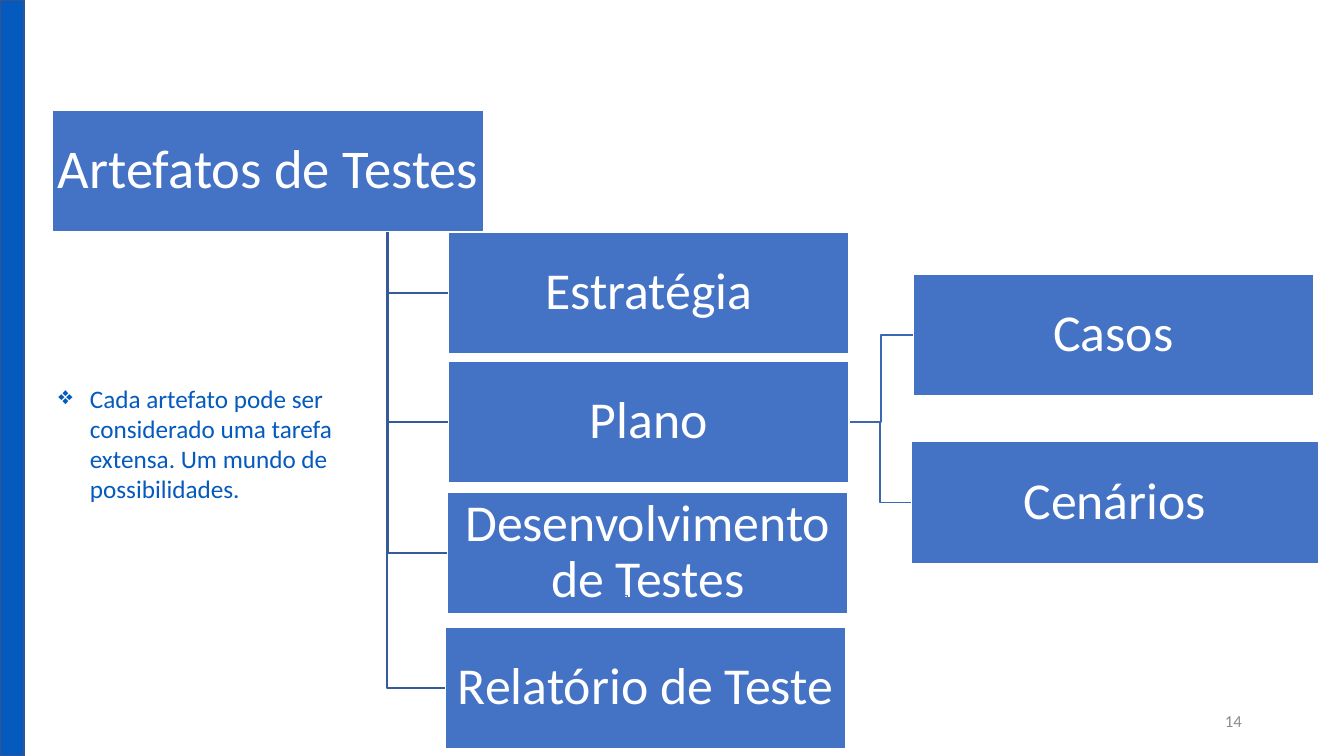
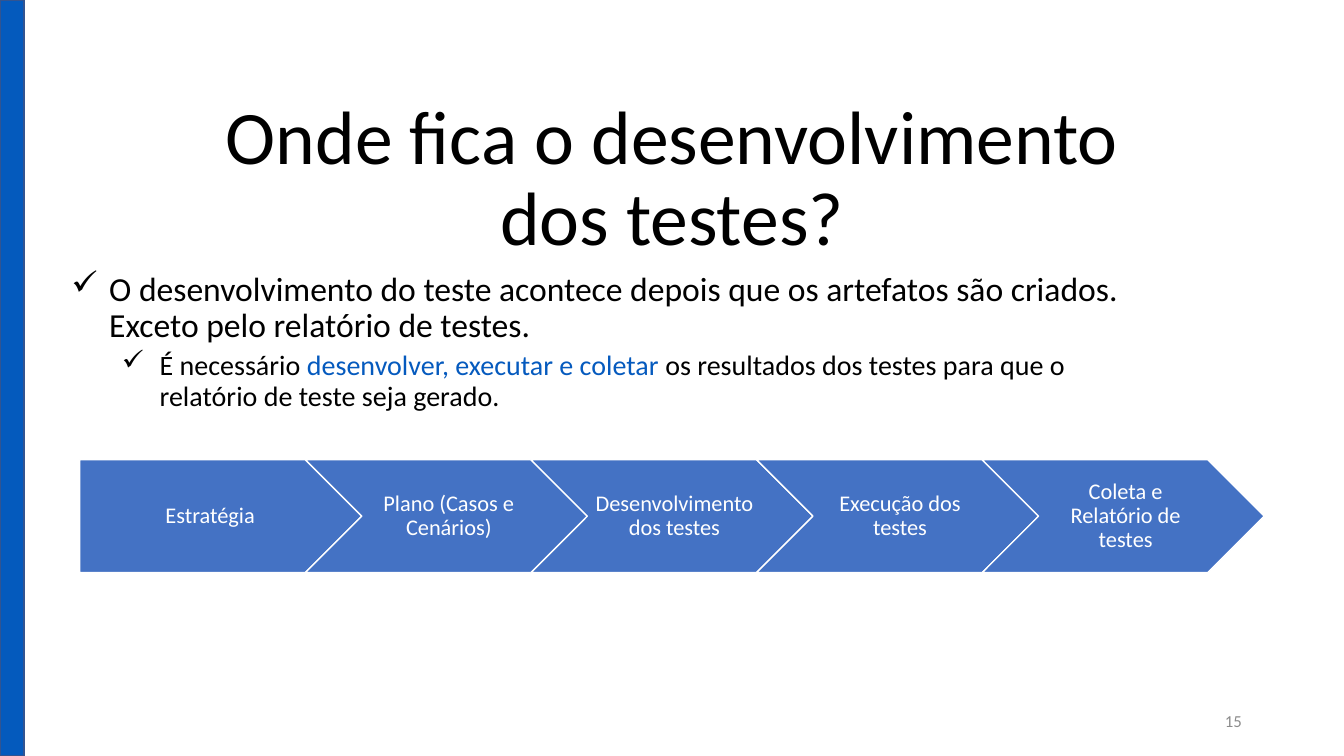
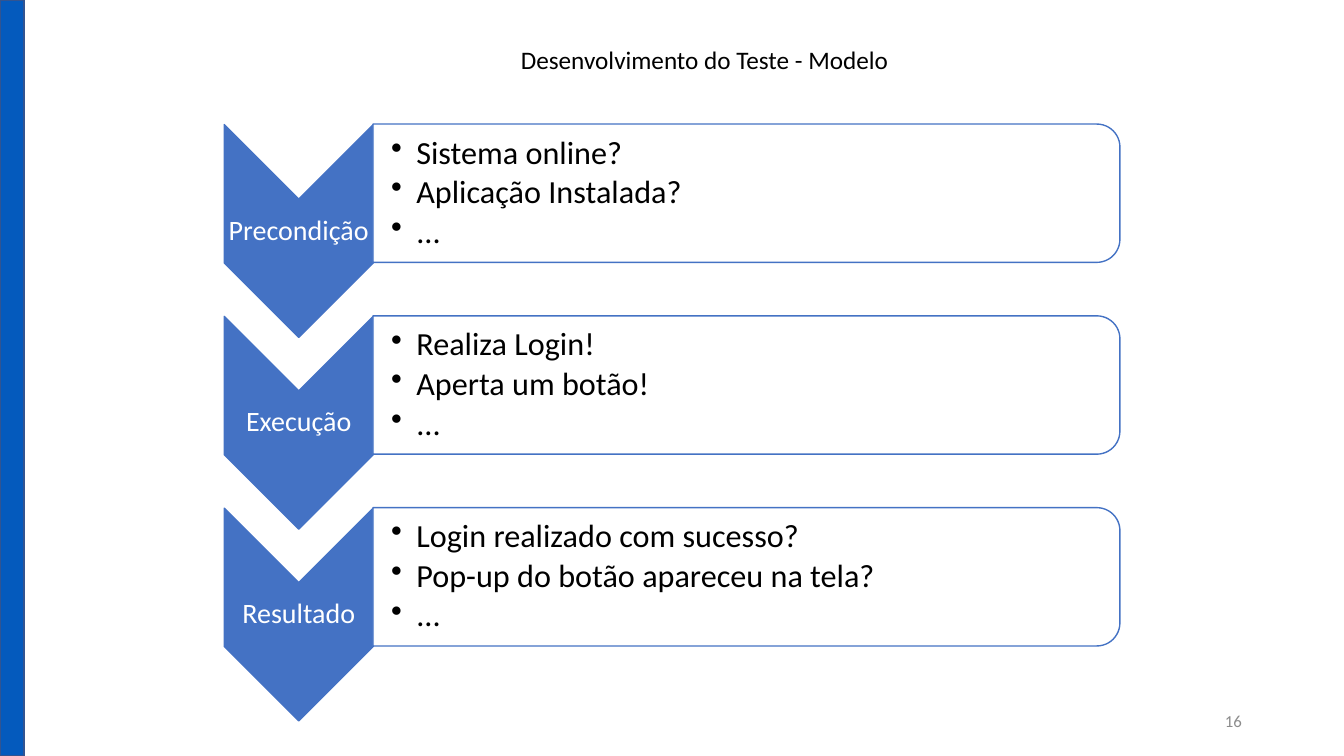
from dataclasses import dataclass
from typing import Optional, Sequence

from lxml import etree
from pptx import Presentation
from pptx.dml.color import RGBColor
from pptx.enum import shapes, text
from pptx.oxml.ns import qn
from pptx.util import Pt

BLACK = RGBColor(0x00, 0x00, 0x00)
WHITE = RGBColor(0xFF, 0xFF, 0xFF)
GRAY = RGBColor(0x8C, 0x8C, 0x8C)
BAND_BLUE = RGBColor(0x04, 0x5A, 0xBD)
BAND_EDGE = RGBColor(0x32, 0x54, 0x91)
ACCENT = RGBColor(0x05, 0x5A, 0xBE)
DIAGRAM_BLUE = RGBColor(0x44, 0x72, 0xC4)
TREE_LINE = RGBColor(0x36, 0x5B, 0x9D)
BRANCH_LINE = RGBColor(0x3E, 0x67, 0xB2)

FONT = "Calibri"
SLIDE_WIDTH, SLIDE_HEIGHT = 960, 540
DEFAULT_INSETS = (7.2, 3.6, 7.2, 3.6)

Align = text.PP_ALIGN
Anchor = text.MSO_ANCHOR
Preset = shapes.MSO_SHAPE


@dataclass(frozen=True)
class Box:
    left: float
    top: float
    width: float
    height: float

    @property
    def right(self) -> float:
        return self.left + self.width

    @property
    def middle(self) -> float:
        return self.top + self.height / 2

    def lengths(self) -> list:
        return [Pt(value) for value in (self.left, self.top, self.width, self.height)]


@dataclass(frozen=True)
class Style:
    size: float
    color: RGBColor = BLACK
    align: text.PP_ALIGN = Align.LEFT
    line_spacing: float = 1.0
    before: float = 0
    after: float = 0
    bullet: str = ""
    indent: float = 0
    hanging: float = 0


@dataclass(frozen=True)
class Line:
    """A paragraph; the text in highlight takes the accent colour."""
    style: Style
    content: str
    highlight: str = ""


@dataclass(frozen=True)
class Node:
    label: str
    box: Box
    size: float = 37


@dataclass(frozen=True)
class Stage:
    name: str
    items: tuple


def centered_box(x: float, y: float, width: float, height: float) -> Box:
    return Box(x - width / 2, y - height / 2, width, height)


def add_bullet(paragraph, style: Style) -> None:
    properties = paragraph._p.get_or_add_pPr()
    properties.set("marL", str(Pt(style.indent)))
    properties.set("indent", str(-Pt(style.hanging)))
    etree.SubElement(properties, qn("a:buChar")).set("char", style.bullet)


def write(shape, lines: Sequence[Line], anchor=Anchor.TOP,
          insets: Sequence[float] = DEFAULT_INSETS, wrap: bool = True) -> None:
    frame = shape.text_frame
    frame.word_wrap = wrap
    frame.vertical_anchor = anchor
    (frame.margin_left, frame.margin_top,
     frame.margin_right, frame.margin_bottom) = (Pt(inset) for inset in insets)
    frame.text = "\n".join(line.content for line in lines)
    for paragraph, line in zip(frame.paragraphs, lines):
        style = line.style
        paragraph.alignment = style.align
        paragraph.line_spacing = style.line_spacing
        paragraph.space_before = Pt(style.before)
        paragraph.space_after = Pt(style.after)
        if style.bullet:
            add_bullet(paragraph, style)
        if line.highlight:
            start, end = line.content.split(line.highlight)
            paragraph.runs[0].text = start
            for part in (line.highlight, end):
                paragraph.add_run().text = part
        for run in paragraph.runs:
            run.font.name = FONT
            run.font.size = Pt(style.size)
            run.font.color.rgb = ACCENT if run.text == line.highlight else style.color


def add_text(slide, box: Box, lines: Sequence[Line], anchor=Anchor.TOP,
             insets: Sequence[float] = DEFAULT_INSETS, wrap: bool = True) -> None:
    write(slide.shapes.add_textbox(*box.lengths()), lines, anchor, insets, wrap)


def add_preset(slide, preset, box: Box, fill: RGBColor, edge: RGBColor, rotation: float = 0):
    shape = slide.shapes.add_shape(preset, *box.lengths())
    shape.shadow.inherit = False
    shape.fill.solid()
    shape.fill.fore_color.rgb = fill
    shape.line.color.rgb = edge
    shape.line.width = Pt(1)
    shape.rotation = rotation
    return shape


def add_elbow(slide, start: tuple, end: tuple, color: RGBColor, width: float = 1):
    connector = slide.shapes.add_connector(
        shapes.MSO_CONNECTOR.ELBOW, *(Pt(value) for value in (*start, *end)))
    connector.line.color.rgb = color
    connector.line.width = Pt(width)
    etree.SubElement(connector._element.spPr, qn("a:effectLst"))
    return connector


def add_small_arrow(slide) -> None:
    """Draw an elbow turned a quarter, so that it leaves downwards."""
    arrow = add_elbow(slide, (452.9, 421.9), (435.6, 429.1), DIAGRAM_BLUE, 0.5)
    arrow._element.spPr.find(qn("a:xfrm")).set("rot", str(270 * 60000))
    etree.SubElement(arrow.line._get_or_add_ln(), qn("a:tailEnd")).set("type", "triangle")


def new_slide(presentation, number: int):
    slide = presentation.slides.add_slide(presentation.slide_layouts[6])
    add_preset(slide, Preset.RECTANGLE, Box(0, 0, 17.3, SLIDE_HEIGHT), BAND_BLUE, BAND_EDGE)
    add_text(slide, Box(678.2, 500.5, 216, 28.8),
             [Line(Style(12, GRAY, Align.RIGHT), str(number))], Anchor.MIDDLE)
    return slide


def diagram_style(size: float) -> Style:
    return Style(size, WHITE, Align.CENTER, 0.9)


def build_artifacts(presentation) -> None:
    slide = new_slide(presentation, 14)
    width, height = 286, 87.1
    root = Node("Artefatos de Testes", Box(37.4, 78.5, 308.2, height), 39)
    plan = Node("Plano", Box(320.4, 257.8, width, height))
    children = [
        Node("Estratégia", Box(320.4, 165.6, width, height)),
        plan,
        Node("Desenvolvimento de Testes", Box(319.7, 351.4, width, height)),
        Node("Relatório de Teste", Box(318.2, 447.8, width, height)),
    ]
    plan_children = [
        Node("Casos", Box(652.3, 195.8, width, height)),
        Node("Cenários", Box(650.9, 315.4, 290.9, height)),
    ]
    trunk = (234.7, root.box.middle)
    plan_exit = (plan.box.right, plan.box.middle)
    for start, nodes, color in ((trunk, children, TREE_LINE),
                                (plan_exit, plan_children, BRANCH_LINE)):
        for node in nodes:
            add_elbow(slide, start, (node.box.left, node.box.middle), color)
    for node in (root, *children, *plan_children):
        shape = add_preset(slide, Preset.RECTANGLE, node.box, DIAGRAM_BLUE, WHITE)
        write(shape, [Line(diagram_style(node.size), node.label)], Anchor.MIDDLE, (2,) * 4)
    note = Style(18, ACCENT, bullet="❖", indent=22.5, hanging=22.5)
    add_text(slide, Box(34.6, 270, 266.4, 94.3), [Line(
        note, "Cada artefato pode ser considerado uma tarefa extensa. "
              "Um mundo de possibilidades.")])
    add_small_arrow(slide)


def build_process(presentation) -> None:
    slide = new_slide(presentation, 15)
    title = Style(54, align=Align.CENTER, line_spacing=0.9)
    add_text(slide, Box(120, 92.2, 720, 98.6),
             [Line(title, "Onde fica o desenvolvimento dos testes?")], Anchor.BOTTOM)
    point = Style(24, line_spacing=0.9, before=10, bullet="✓", indent=27, hanging=27)
    subpoint = Style(20, line_spacing=0.9, before=5, bullet="✓", indent=63, hanging=27)
    add_text(slide, Box(43.9, 190.8, 795.6, 327.6), [
        Line(point, "O desenvolvimento do teste acontece depois que os artefatos são "
                    "criados. Exceto pelo relatório de testes."),
        Line(subpoint, "É necessário desenvolver, executar e coletar os resultados dos "
                       "testes para que o relatório de teste seja gerado.",
             "desenvolver, executar e coletar "),
    ])
    steps = ("Estratégia", "Plano (Casos e Cenários)", "Desenvolvimento dos testes",
             "Execução dos testes", "Coleta e Relatório de testes")
    pitch = 161.15
    for index, step in enumerate(steps):
        preset, inset = (Preset.CHEVRON, 5) if index else (Preset.PENTAGON, 6.5)
        box = Box(57 + index * pitch, 328.4, 201.5, 80.6)
        shape = add_preset(slide, preset, box, DIAGRAM_BLUE, WHITE)
        write(shape, [Line(diagram_style(16), step)], Anchor.MIDDLE, (inset, 3.6, 1.5, 3.6))


def add_stage(slide, stage: Stage, offset: float) -> None:
    chevron_x, chevron_y = 213.4, 165 + offset
    panel_x, panel_y = 533.2, 138 + offset
    add_preset(slide, Preset.CHEVRON, centered_box(chevron_x, chevron_y, 152, 106.5),
               DIAGRAM_BLUE, DIAGRAM_BLUE, 90)
    add_text(slide, centered_box(chevron_x, chevron_y, 106.5, 45.4),
             [Line(diagram_style(20), stage.name)], Anchor.MIDDLE, (0.9,) * 4)
    panel = add_preset(slide, Preset.ROUND_2_SAME_RECTANGLE,
                       centered_box(panel_x, panel_y, 98.8, 533.5), WHITE, DIAGRAM_BLUE, 90)
    color = panel._element.spPr.find(qn("a:solidFill"))[0]
    etree.SubElement(color, qn("a:alpha")).set("val", "90000")
    item_style = Style(23, line_spacing=0.9, after=3.5, bullet="•", indent=18, hanging=18)
    add_text(slide, Box(266.4, panel_y - 44.6, 528.5, 89.2),
             [Line(item_style, item) for item in stage.items],
             Anchor.MIDDLE, (13, 1.2, 1.2, 1.2))


def build_model(presentation) -> None:
    slide = new_slide(presentation, 16)
    stages = (
        Stage("Precondição", ("Sistema online?", "Aplicação Instalada?", "...")),
        Stage("Execução", ("Realiza Login!", "Aperta um botão!", "...")),
        Stage("Resultado", ("Login realizado com sucesso?",
                            "Pop-up do botão apareceu na tela?", "...")),
    )
    for index, stage in enumerate(stages):
        add_stage(slide, stage, index * 137)
    add_text(slide, Box(365, 28.1, 280, 28.8),
             [Line(Style(18), "Desenvolvimento do Teste - Modelo")], wrap=False)


def main() -> None:
    presentation = Presentation()
    presentation.slide_width = Pt(SLIDE_WIDTH)
    presentation.slide_height = Pt(SLIDE_HEIGHT)
    for build in (build_artifacts, build_process, build_model):
        build(presentation)
    presentation.save("out.pptx")


if __name__ == "__main__":
    main()
